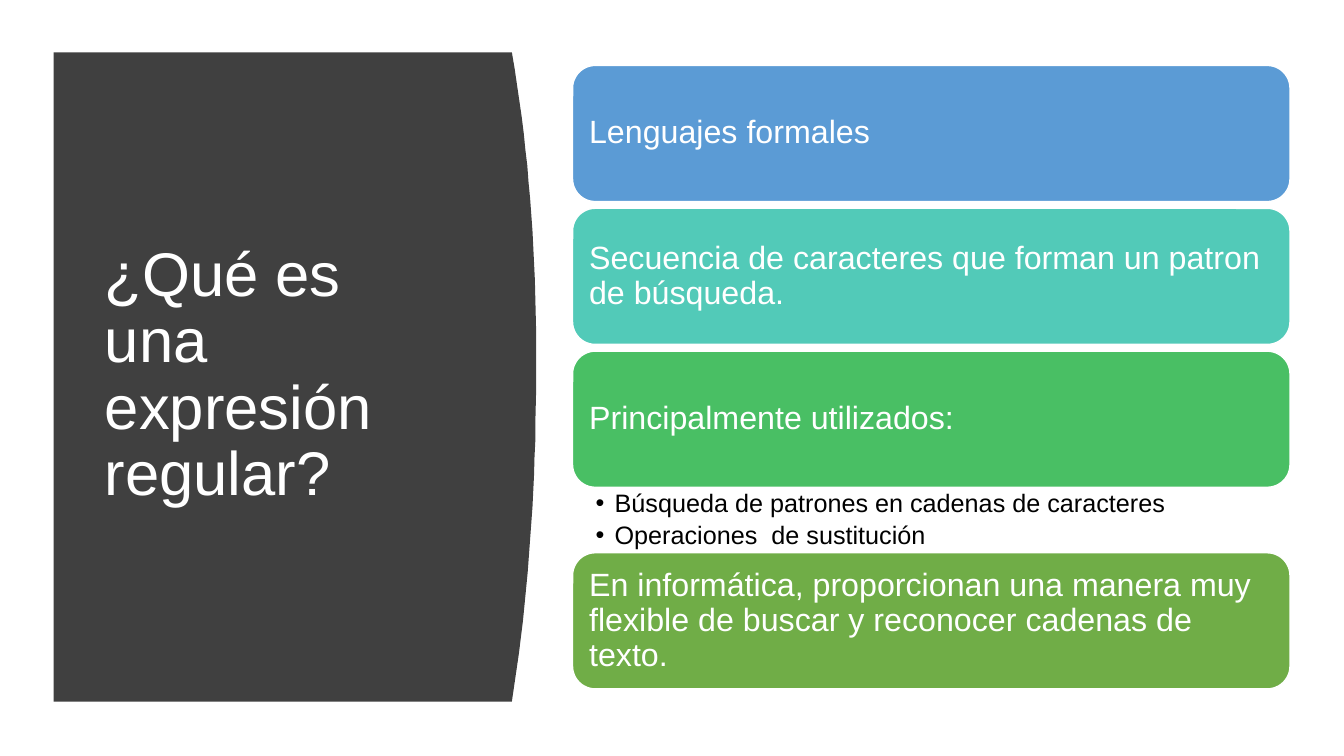
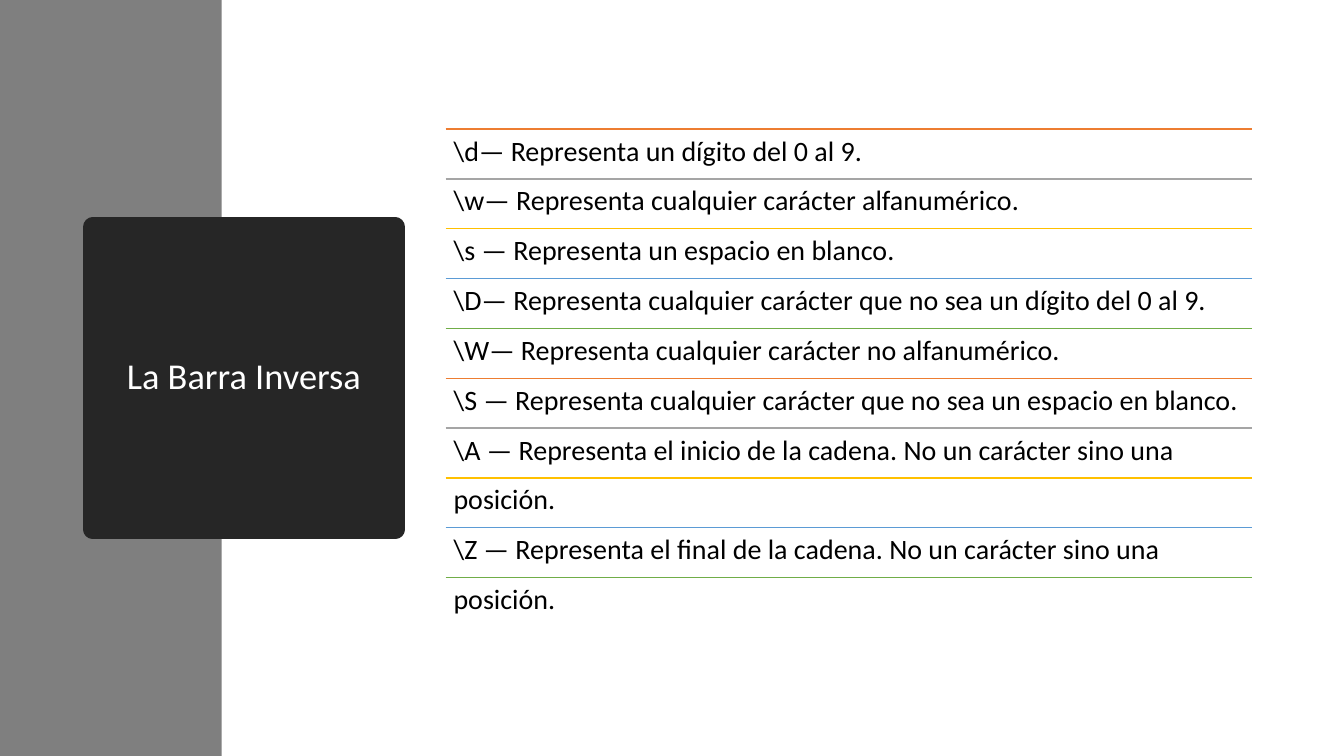
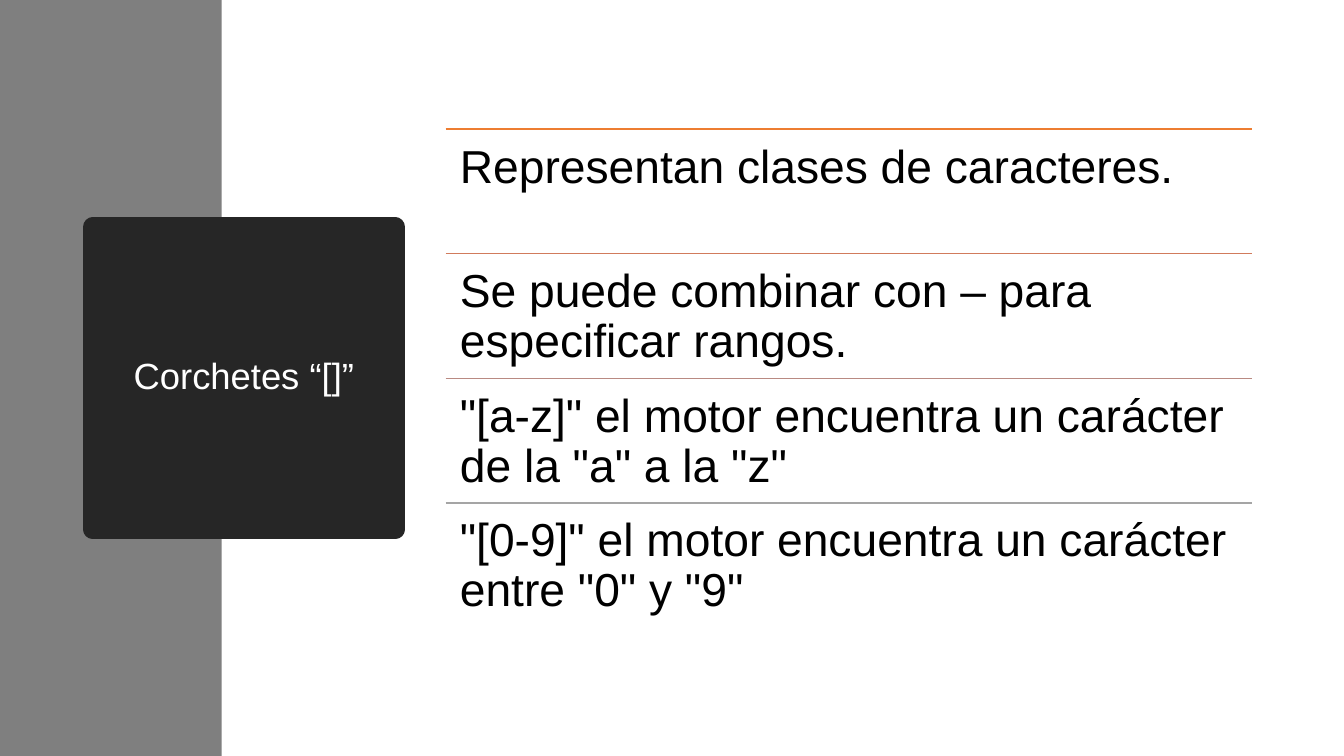
import dataclasses

import lxml.etree
import pptx
import pptx.dml.color
import pptx.enum.shapes
import pptx.enum.text
import pptx.oxml.ns
import pptx.util

Cm = pptx.util.Cm
Pt = pptx.util.Pt
ANCHOR = pptx.enum.text.MSO_ANCHOR
SHAPE = pptx.enum.shapes.MSO_SHAPE


@dataclasses.dataclass(frozen=True)
class Theme:
    white: str = "FFFFFF"
    black: str = "000000"
    panel: str = "404040"
    band: str = "7F7F7F"
    badge: str = "262626"
    cards: tuple = ("5B9BD5", "52CAB8", "49BF64", "70AD47")
    rules: tuple = ("ED7D31", "A5A5A5", "FFC000", "5B9BD5", "70AD47")
    fade: tuple = ("ED7D31", "D17B5C", "B98A82", "A5A5A5")
    sans: str = "Arial"
    plain: str = "Calibri"
    head: int = 44
    label: int = 26
    card: int = 23
    point: int = 18


theme = Theme()


def paint(shape, fill, line=None, width=1):
    """Give a shape a flat fill and an optional outline."""
    shape.shadow.inherit = False
    shape.fill.solid()
    shape.fill.fore_color.rgb = pptx.dml.color.RGBColor.from_string(fill)
    if line:
        shape.line.color.rgb = pptx.dml.color.RGBColor.from_string(line)
        shape.line.width = Pt(width)
    else:
        shape.line.fill.background()


def write(shape, lines, size, font, color, align="LEFT", anchor=ANCHOR.MIDDLE,
          inset=(0.25, 0.13), after=0):
    """Fill a shape with one paragraph per line; after is a share of the size."""
    frame = shape.text_frame
    frame.text = "\n".join(lines)
    frame.word_wrap = True
    frame.auto_size = pptx.enum.text.MSO_AUTO_SIZE.NONE
    frame.vertical_anchor = anchor
    frame.margin_left = frame.margin_right = Cm(inset[0])
    frame.margin_top = frame.margin_bottom = Cm(inset[1])
    for para in frame.paragraphs:
        para.alignment = pptx.enum.text.PP_ALIGN[align]
        para.line_spacing = 0.9
        para.space_before = Pt(0)
        para.space_after = Pt(size * after)
        para.font.size = Pt(size)
        para.font.name = font
        para.font.color.rgb = pptx.dml.color.RGBColor.from_string(color)


deck = pptx.Presentation()
deck.slide_width = Cm(33.87)
deck.slide_height = Cm(19.05)

# Slide 1: curved panel with the title
slide = deck.slides.add_slide(deck.slide_layouts[1])
title, body = slide.placeholders
left, top, edge, bulge, base, mid = 135, 132, 1290, 1351, 1768, 914
curve = []
for step in range(41):
    y = top + (base - top) * step / 40
    reach = mid - top if y < mid else base - mid
    curve.append((bulge - (bulge - edge) * (abs(y - mid) / reach) ** 2.2, y))
pen = slide.shapes.build_freeform(left, top, scale=Cm(0.01))
pen.add_line_segments(curve + [(left, base)], close=True)
paint(pen.convert_to_shape(), theme.panel)

title.left, title.top, title.width, title.height = Cm(2.39), Cm(2.82), Cm(9), Cm(13.31)
write(title, ["¿Qué es una expresión regular?"], theme.head, theme.sans, theme.white)
slide.shapes.element.append(title.element)

# Slide 1: cards, with the list under the third
cards = [
    "Lenguajes formales",
    "Secuencia de caracteres que forman un patron de búsqueda.",
    "Principalmente utilizados:",
    "En informática, proporcionan una manera muy flexible de buscar y reconocer cadenas de texto.",
]
left, top, width, height, gap, room = 14.43, 1.65, 18.08, 3.43, 0.17, 1.65
for spot, (text, fill) in enumerate(zip(cards, theme.cards)):
    card = slide.shapes.add_shape(SHAPE.ROUNDED_RECTANGLE, Cm(left), Cm(top), Cm(width), Cm(height))
    paint(card, fill, theme.white)
    write(card, [text], theme.card, theme.sans, theme.white, inset=(0.25, 0.25), after=0.35)
    top += height
    if spot == 2:
        body.left, body.top, body.width, body.height = Cm(left), Cm(top), Cm(width), Cm(room)
        top += room
    else:
        top += gap

points = ["Búsqueda de patrones en cadenas de caracteres", "Operaciones  de sustitución"]
write(body, points, theme.point, theme.sans, theme.black,
      anchor=ANCHOR.TOP, inset=(0.58, 0.08), after=0.2)
for para in body.text_frame.paragraphs:
    props = para._p.get_or_add_pPr()
    props.set("marL", str(Cm(0.48)))
    props.set("indent", str(-Cm(0.48)))
    mark = lxml.etree.SubElement(props, pptx.oxml.ns.qn("a:buChar"))
    mark.set("char", "•")
slide.shapes.element.append(body.element)

# Slides 2 and 3: side band, dark title square and ruled rows
pages = [
    ("La Barra Inversa", theme.plain, 20, 0.2, theme.rules, [
        "\\d— Representa un dígito del 0 al 9.",
        "\\w— Representa cualquier carácter alfanumérico.",
        "\\s — Representa un espacio en blanco.",
        "\\D— Representa cualquier carácter que no sea un dígito del 0 al 9.",
        "\\W— Representa cualquier carácter no alfanumérico.",
        "\\S — Representa cualquier carácter que no sea un espacio en blanco.",
        "\\A — Representa el inicio de la cadena. No un carácter sino una",
        "posición.",
        "\\Z — Representa el final de la cadena. No un carácter sino una",
        "posición.",
    ]),
    ("Corchetes “[]”", theme.sans, 33, 0.36, theme.fade, [
        "Representan clases de caracteres.",
        "Se puede combinar con – para especificar rangos.",
        '"[a-z]" el motor encuentra un carácter de la "a" a la "z"',
        '"[0-9]" el motor encuentra un carácter entre "0" y "9"',
    ]),
]
left, top, width, height = 11.23, 3.25, 20.32, 12.56
for name, font, size, inset, hues, rows in pages:
    slide = deck.slides.add_slide(deck.slide_layouts[5])
    band = slide.shapes.add_shape(SHAPE.RECTANGLE, 0, 0, Cm(5.59), deck.slide_height)
    paint(band, theme.band)

    title = slide.shapes.title
    title.left, title.top, title.width, title.height = Cm(2.34), Cm(5.72), Cm(7.62), Cm(7.62)
    paint(title, theme.badge, theme.badge, 13.75)
    write(title, [name], theme.label, font, theme.white, align="CENTER")
    slide.shapes.element.append(title.element)

    pitch = height / len(rows)
    for spot, text in enumerate(rows):
        y = Cm(top + spot * pitch)
        rule = slide.shapes.add_connector(
            pptx.enum.shapes.MSO_CONNECTOR.STRAIGHT, Cm(left), y, Cm(left + width), y)
        hue = hues[spot % len(hues)]
        rule.line.color.rgb = pptx.dml.color.RGBColor.from_string(hue)
        rule.line.width = Pt(1)
        lxml.etree.SubElement(rule.element.spPr, pptx.oxml.ns.qn("a:effectLst"))
        row = slide.shapes.add_textbox(Cm(left), y, Cm(width), Cm(pitch))
        write(row, [text], size, font, theme.black,
              anchor=ANCHOR.TOP, inset=(inset, inset), after=0.35)

deck.save("out.pptx")
